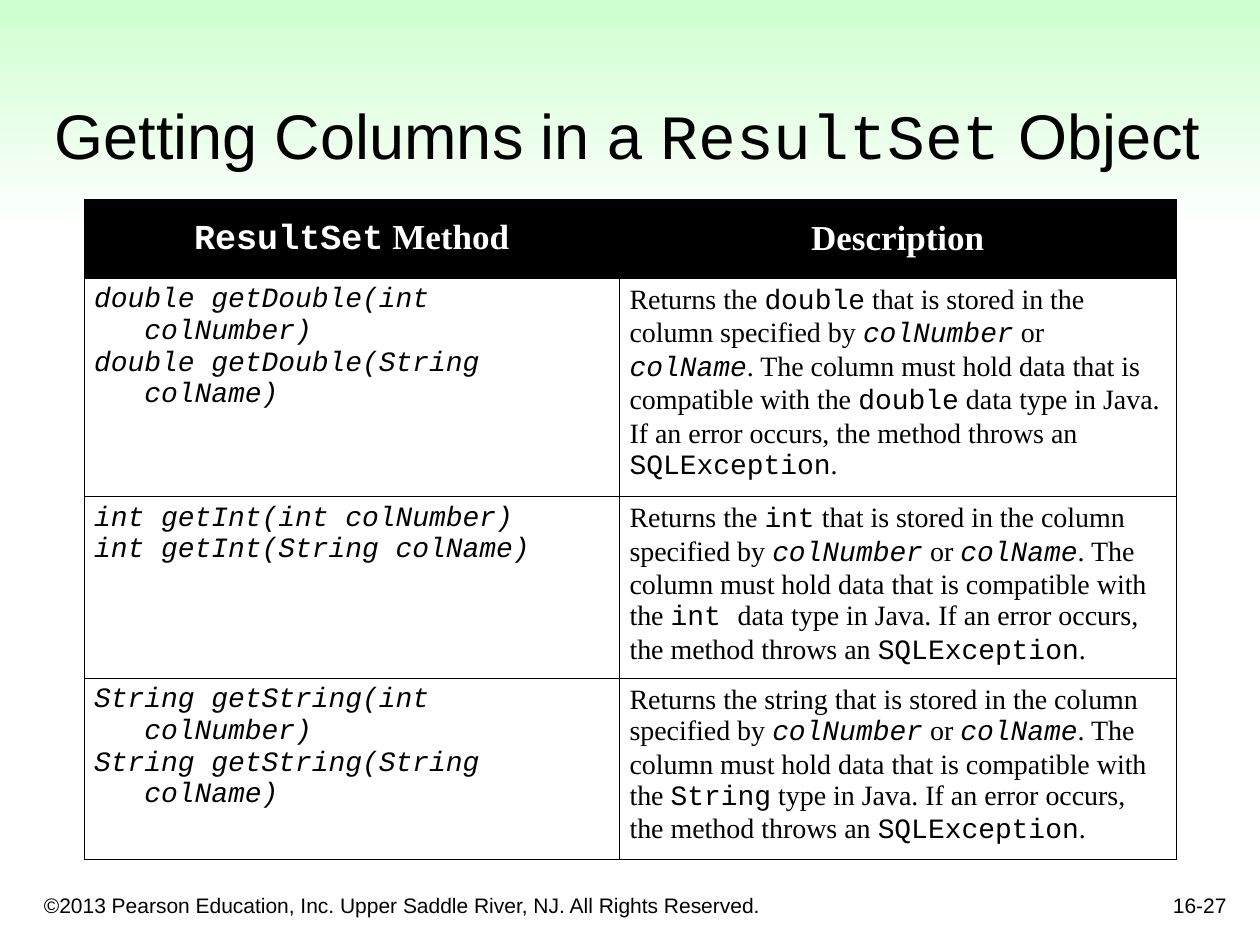
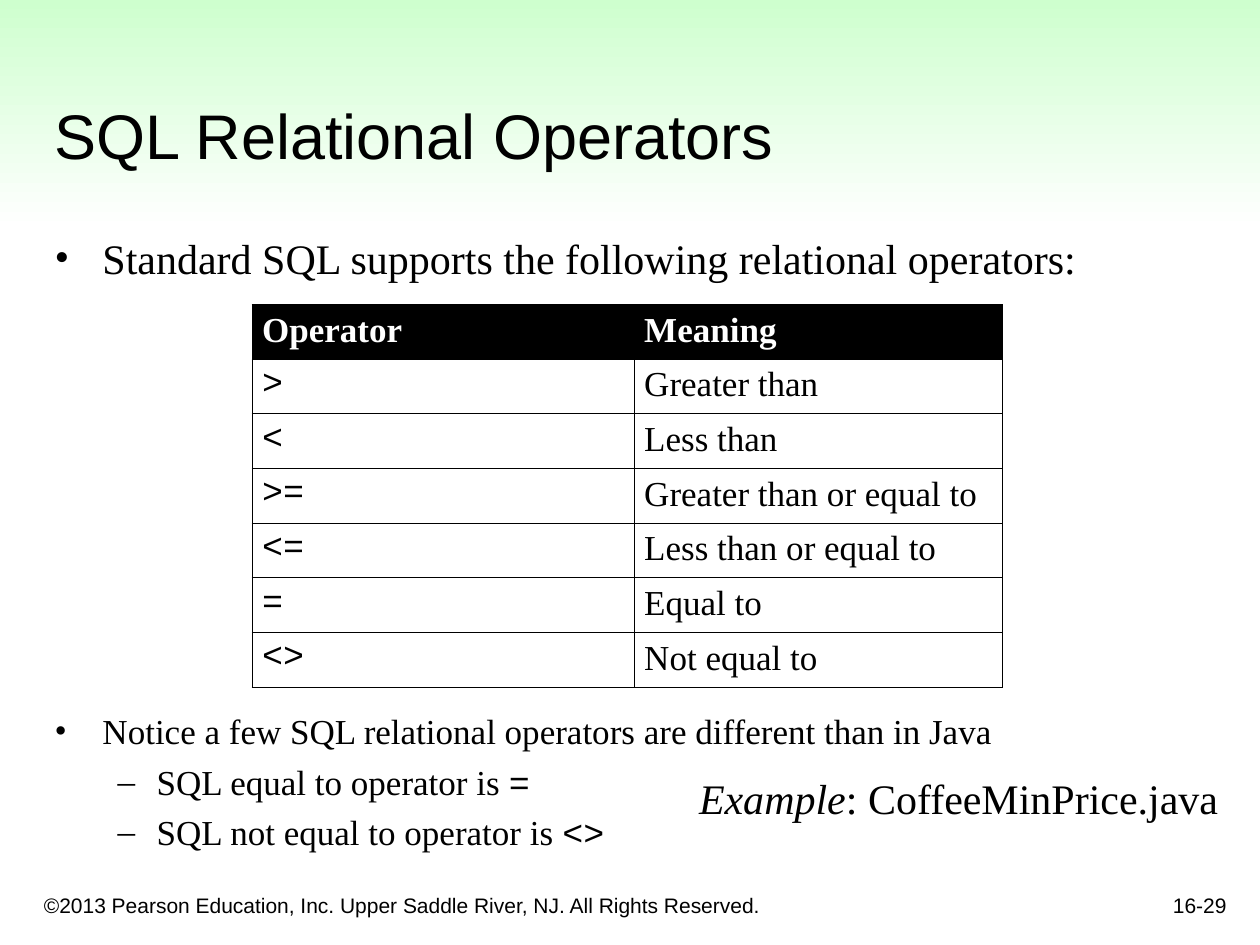
from lxml import etree
from pptx import Presentation
from pptx.dml.color import RGBColor
from pptx.enum.shapes import MSO_SHAPE
from pptx.enum.text import MSO_ANCHOR, MSO_AUTO_SIZE, PP_ALIGN
from pptx.oxml.ns import qn
from pptx.util import Emu, Inches, Pt

BLACK = RGBColor(0x00, 0x00, 0x00)
WHITE = RGBColor(0xFF, 0xFF, 0xFF)
MINT = RGBColor(0xCC, 0xFF, 0xCC)

SANS = "Arial"
SERIF = "Times New Roman"
CODE = "Courier New"

TITLE_ONLY, TITLE_AND_BODY = 5, 1
COLUMNS, ROWS = 120, 90
COPYRIGHT = "©2013 Pearson Education, Inc. Upper Saddle River, NJ. All Rights Reserved."


def write(frame, text, font=SERIF, size=20, color=BLACK, bold=False,
          align=PP_ALIGN.LEFT, before=0):
    """Add one paragraph; *stars* mark italics and `backticks` mark code."""
    paragraph = frame.add_paragraph() if frame.text else frame.paragraphs[0]
    paragraph.alignment = align
    paragraph.space_before = Pt(before)
    for i, chunk in enumerate(text.split("*")):
        for j, piece in enumerate(chunk.split("`")):
            if piece:
                run = paragraph.add_run()
                run.text = piece
                run.font.name = CODE if j % 2 else font
                run.font.size = Pt(size)
                run.font.bold = bold
                run.font.italic = i % 2 == 1
                run.font.color.rgb = color
    return paragraph


def add_bullet(paragraph, mark, margin, hanging):
    """Give a paragraph a bullet mark and a hanging indent in inches."""
    properties = paragraph._p.get_or_add_pPr()
    properties.set("marL", str(Inches(margin)))
    properties.set("indent", str(-Inches(hanging)))
    etree.SubElement(properties, qn("a:buFont")).set("typeface", SERIF)
    etree.SubElement(properties, qn("a:buChar")).set("char", mark)


def add_borders(cell):
    """Draw a thin black line on all four sides of a table cell."""
    properties = cell._tc.get_or_add_tcPr()
    for side in ("lnL", "lnR", "lnT", "lnB"):
        line = etree.SubElement(properties, qn(f"a:{side}"), w=str(Pt(0.45)))
        fill = etree.SubElement(line, qn("a:solidFill"))
        etree.SubElement(fill, qn("a:srgbClr"), val=str(BLACK))


class Deck:
    """Holds the shared style and the current slide."""

    def __init__(self):
        """Open a blank presentation and set up its grid."""
        self.presentation = Presentation()
        self.presentation.slide_width = Inches(10)
        self.presentation.slide_height = Inches(7.5)
        self.column = self.presentation.slide_width / COLUMNS
        self.row = self.presentation.slide_height / ROWS
        self.slide = None

    def box(self, left, top, width, height):
        """Turn grid columns and rows into lengths."""
        return (Emu(round(left * self.column)), Emu(round(top * self.row)),
                Emu(round(width * self.column)), Emu(round(height * self.row)))

    def place(self, holder, *area):
        """Move a placeholder to a grid area and return its text frame."""
        holder.left, holder.top, holder.width, holder.height = self.box(*area)
        holder.text_frame.auto_size = MSO_AUTO_SIZE.NONE
        return holder.text_frame

    def start(self, layout, title, number):
        """Begin a slide with its band, title, copyright line and number."""
        self.slide = self.presentation.slides.add_slide(
            self.presentation.slide_layouts[layout])
        heading = self.slide.shapes.title
        frame = self.place(heading, 4, 4, 113, 13)
        frame.vertical_anchor = MSO_ANCHOR.BOTTOM
        write(frame, title, font=SANS, size=36)
        heading.element.addprevious(self.band().element)
        self.text(COPYRIGHT, 3, 83, 73, 5, font=SANS, size=12)
        self.text(number, 93, 82, 25, 6, font=SANS, size=12, align=PP_ALIGN.RIGHT)

    def band(self):
        """Add the band that fades from mint to white at the top."""
        band = self.slide.shapes.add_shape(
            MSO_SHAPE.RECTANGLE, *self.box(0, -1, COLUMNS, 23))
        band.shadow.inherit = False
        band.line.fill.background()
        band.fill.gradient()
        band.fill.gradient_angle = 270
        for stop, color, position in zip(band.fill.gradient_stops, (MINT, WHITE), (0, 1)):
            stop.color.rgb = color
            stop.position = position
        return band

    def text(self, words, left, top, width, height, wrap=True,
             anchor=MSO_ANCHOR.BOTTOM, **style):
        """Add a text box."""
        area = self.box(left, top, width, height)
        frame = self.slide.shapes.add_textbox(*area).text_frame
        frame.word_wrap = wrap
        frame.vertical_anchor = anchor
        write(frame, words, **style)

    def bullets(self, items, *area):
        """Fill the body placeholder with (level, size, space before, text) items."""
        frame = self.place(self.slide.placeholders[1], *area)
        frame.margin_right = 0
        for level, size, before, words in items:
            paragraph = write(frame, words, size=size, before=before)
            paragraph.level = level
            add_bullet(paragraph, *(("•", 0.38, 0.38), ("–", 0.81, 0.31))[level])

    def table(self, rows, left, top, widths, heights, size, header_align, header_anchor):
        """Add a ruled table with a black header row; a cell is a list of lines."""
        area = self.box(left, top, sum(widths), sum(heights))
        grid = self.slide.shapes.add_table(len(rows), len(widths), *area).table
        grid.horz_banding = False
        for column, width in zip(grid.columns, widths):
            column.width = Emu(round(width * self.column))
        for r, (lines_by_cell, height) in enumerate(zip(rows, heights)):
            grid.rows[r].height = Emu(round(height * self.row))
            for c, lines in enumerate(lines_by_cell):
                cell = grid.cell(r, c)
                header = r == 0
                add_borders(cell)
                cell.fill.solid()
                cell.fill.fore_color.rgb = BLACK if header else WHITE
                cell.margin_left = cell.margin_right = Inches(0.08)
                cell.vertical_anchor = header_anchor if header else MSO_ANCHOR.TOP
                for line in lines:
                    if header:
                        write(cell.text_frame, line, color=WHITE, bold=True,
                              align=header_align)
                    else:
                        write(cell.text_frame, line, size=size)


def method_row(signatures, returned, kind):
    """Build a table row for one pair of getter methods."""
    description = (
        f"Returns the {returned} that is stored in the column specified by "
        "*`colNumber`* or *`colName`*. The column must hold data that is compatible "
        f"with the {kind} type in Java. If an error occurs, the method throws an "
        "`SQLException`.")
    return [[f"*`{line}`*" for line in signatures], [description]]


def wrapped_getters(kind, name):
    """List the two overloads of a getter, each broken over two lines."""
    return [f"{kind} {name}(int", "   colNumber)", f"{kind} {name}(String", "   colName)"]


def columns_slide(deck):
    """Build the slide on reading columns."""
    deck.start(TITLE_ONLY, "Getting Columns in a `ResultSet` Object", "16-27")
    methods = [
        [["`ResultSet` Method"], ["Description"]],
        method_row(wrapped_getters("double", "getDouble"), "`double`", "`double` data"),
        method_row(["int getInt(int colNumber)", "int getInt(String colName)"],
                   "`int`", "`int `data"),
        method_row(wrapped_getters("String", "getString"), "string", "`String`"),
    ]
    deck.table(methods, 8, 19, [51, 53], [7.5, 20.8, 17.3, 17.3], 16,
               PP_ALIGN.CENTER, MSO_ANCHOR.MIDDLE)


def operators_slide(deck):
    """Build the slide on relational operators."""
    deck.start(TITLE_AND_BODY, "SQL Relational Operators", "16-29")
    deck.bullets([
        (0, 24, 0, "Standard SQL supports the following relational operators:"),
        (0, 20, 244, "Notice a few SQL relational operators are different than in Java"),
        (1, 20, 5, "SQL equal to operator is `=`"),
        (1, 20, 5, "SQL not equal to operator is `<>`"),
    ], 4, 21.5, 108.8, 60)
    meanings = {
        ">": "Greater than",
        "<": "Less than",
        ">=": "Greater than or equal to",
        "<=": "Less than or equal to",
        "=": "Equal to",
        "<>": "Not equal to",
    }
    rows = [[["Operator"], ["Meaning"]]]
    rows += [[[f"`{sign}`"], [meaning]] for sign, meaning in meanings.items()]
    deck.table(rows, 24, 29, [36.4, 35.1], [4.97] * len(rows), 20,
               PP_ALIGN.LEFT, MSO_ANCHOR.TOP)
    deck.text("*Example*: CoffeeMinPrice.java", 65.3, 73, 52, 6, wrap=False,
              anchor=MSO_ANCHOR.TOP, size=24, align=PP_ALIGN.CENTER)


def main():
    """Build both slides and save them."""
    deck = Deck()
    columns_slide(deck)
    operators_slide(deck)
    deck.presentation.save("out.pptx")


if __name__ == "__main__":
    main()
